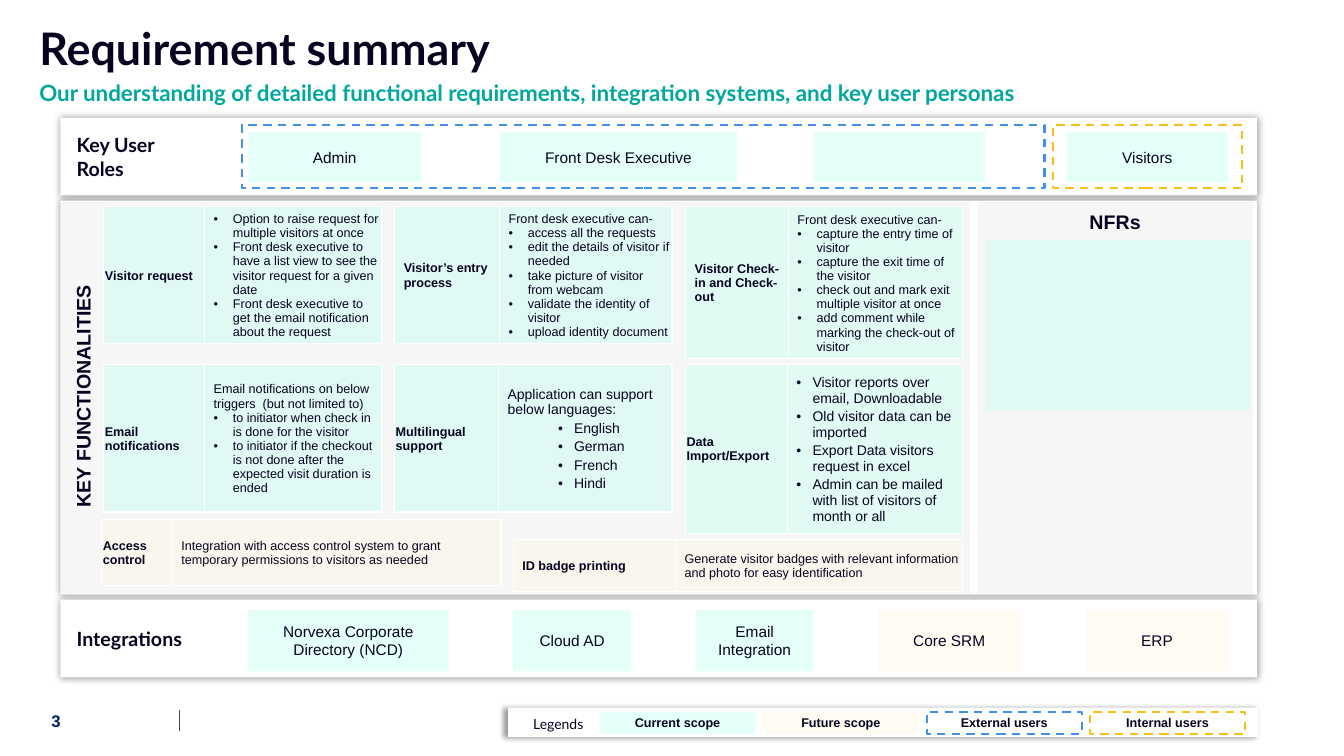
import dataclasses

import pptx
import pptx.dml.color
import pptx.enum.dml
import pptx.enum.shapes
import pptx.enum.text
import pptx.oxml
import pptx.oxml.ns
import pptx.util

UNIT = pptx.util.Inches(0.1)
COLORS = {"ink": "060320", "heading": "06041F", "teal": "00A79D", "navy": "002060",
          "white": "FFFFFF", "grey": "F2F2F2", "current": "C5FFF2", "future": "FEF7E3",
          "mint": "E1FAF4", "external": "4190E9", "internal": "F9C018", "divider": "3F4956"}
SHEER = 43
LEFT = pptx.enum.text.PP_ALIGN.LEFT
CENTER = pptx.enum.text.PP_ALIGN.CENTER
MIDDLE = pptx.enum.text.MSO_ANCHOR.MIDDLE
TOP = pptx.enum.text.MSO_ANCHOR.TOP
CARD_LEFT, CARD_STEP, CARD_WIDTH = 4.3, 28.85, 27.5
UPPER_ROW, LOWER_ROW = 0.6, 16.3
LEGEND_LEFT, LEGEND_STEP = 9.1, 16.2


@dataclasses.dataclass
class Box:
    left: float
    top: float
    width: float
    height: float

    def inner(self, left, top, width, height):
        return Box(self.left + left, self.top + top, width, height)

    def place(self):
        return [round(length * UNIT) for length in (self.left, self.top, self.width, self.height)]


@dataclasses.dataclass
class Card:
    title: str
    widths: tuple
    height: float
    intro: str = ""
    bullets: tuple = ()
    color: str = "current"
    opacity: int = SHEER
    size: int = 9
    label_indent: float = 0
    bullet_indent: tuple = (0.19, 0.19)


def rgb(name):
    return pptx.dml.color.RGBColor.from_string(COLORS[name])


def add_xml(parent, markup, index=None):
    element = pptx.oxml.parse_xml(markup.replace(">", " " + pptx.oxml.ns.nsdecls("a") + ">", 1))
    parent.insert(len(parent) if index is None else index, element)


def paint(fill, element, color, opacity):
    fill.solid()
    fill.fore_color.rgb = rgb(color)
    if opacity < 100:
        color_element = next(element.iter(pptx.oxml.ns.qn("a:srgbClr")))
        add_xml(color_element, f'<a:alpha val="{opacity * 1000}"></a:alpha>')


def style(frame, size, font="Arial", color="ink", bold=False, align=LEFT, anchor=MIDDLE,
          insets=(0.04, 0.04, 0.04, 0.04)):
    frame.word_wrap = True
    frame.auto_size = pptx.enum.text.MSO_AUTO_SIZE.NONE
    frame.vertical_anchor = anchor
    frame.margin_left, frame.margin_top, frame.margin_right, frame.margin_bottom = map(
        pptx.util.Inches, insets)
    for paragraph in frame.paragraphs:
        paragraph.alignment = align
        style_runs(paragraph, size, font, color, bold)


def style_runs(paragraph, size, font="Arial", color="ink", bold=False):
    for run in paragraph.runs:
        run.font.size, run.font.name, run.font.bold = pptx.util.Pt(size), font, bold
        run.font.color.rgb = rgb(color)


def indent(paragraph, margin, hanging=0):
    properties = paragraph._p.get_or_add_pPr()
    properties.set("marL", str(pptx.util.Inches(margin)))
    properties.set("indent", str(-pptx.util.Inches(hanging)))
    if hanging:
        add_xml(properties, '<a:buFont typeface="Arial"></a:buFont>')
        add_xml(properties, '<a:buChar char="•"></a:buChar>')
    else:
        add_xml(properties, "<a:buNone></a:buNone>")


def add_panel(slide, box, fill=None, opacity=100, outline=None, text="", shadow=None, **text_style):
    shape = slide.shapes.add_shape(pptx.enum.shapes.MSO_SHAPE.RECTANGLE, *box.place())
    shape.shadow.inherit = False
    if fill:
        paint(shape.fill, shape._element.spPr, fill, opacity)
    else:
        shape.fill.background()
    if outline:
        shape.line.color.rgb = rgb(outline)
        shape.line.width = pptx.util.Pt(1.5)
        shape.line.dash_style = pptx.enum.dml.MSO_LINE.DASH
    else:
        shape.line.fill.background()
    if shadow:
        blur, distance, angle = shadow
        effects = shape._element.spPr.find(pptx.oxml.ns.qn("a:effectLst"))
        add_xml(effects, f'<a:outerShdw blurRad="{pptx.util.Pt(blur)}" dist="{pptx.util.Pt(distance)}" '
                f'dir="{angle * 60000}" algn="ctr" rotWithShape="0"><a:srgbClr val="000000">'
                '<a:alpha val="40000"/></a:srgbClr></a:outerShdw>')
    if text:
        shape.text_frame.text = text
        style(shape.text_frame, **({"size": 11, "align": CENTER} | text_style))


def add_label(slide, box, text, size, rotation=0, **text_style):
    label = slide.shapes.add_textbox(*box.place())
    label.rotation = rotation
    label.text_frame.text = text
    style(label.text_frame, size, insets=(0.1, 0.05, 0.1, 0.05), **text_style)


def add_band(slide, box, text=""):
    add_panel(slide, box, "white", text=text, shadow=(5, 0, 0), size=14, font="Lato", bold=True,
              align=LEFT, insets=(0.16, 0.04, 0.04, 0.04))


def add_heading(slide, box):
    title, body = slide.shapes.title, slide.placeholders[1]
    for holder, text, area, size, color, margin in (
            (body, "Requirement summary", box.inner(0, 0, box.width, 6.2), 32, "heading", 0),
            (title, "Our understanding of detailed functional requirements, integration systems, "
             "and key user personas", box.inner(0, 5.5, box.width, 3.7), 16, "teal", 0.05)):
        holder.left, holder.top, holder.width, holder.height = area.place()
        holder.text_frame.text = text
        style(holder.text_frame, size, "Lato", color, True, insets=(0.1, margin, 0.1, margin))
        paragraph = holder.text_frame.paragraphs[0]
        paragraph.line_spacing = 0.9
        paragraph.space_before = pptx.util.Pt(10)
        indent(paragraph, 0)


def add_roles(slide, box):
    add_band(slide, box, "Key User\nRoles")
    for text, left, width in (("Admin", 18.6, 17.2), ("Front Desk Executive", 43.6, 23.5),
                              ("", 74.7, 17), ("Visitors", 99.8, 16)):
        add_panel(slide, box.inner(left, 1.4, width, 5), "current", SHEER, text=text)
    for color, left, width in (("external", 18, 79.6), ("internal", 98.4, 18.8)):
        add_panel(slide, box.inner(left, 0.7, width, 6.3), outline=color)


def add_card(slide, box, card):
    table = slide.shapes.add_table(1, 2, *box.place()).table
    table.first_row = table.horz_banding = False
    table.rows[0].height = round(box.height * UNIT)
    for column, width in zip(table.columns, card.widths):
        column.width = round(width * UNIT)
    label, details = table.rows[0].cells
    label.text = card.title
    details.text = "\n".join(([card.intro] if card.intro else []) + list(card.bullets))
    for cell, margin in ((label, 0.01), (details, 0.09)):
        cell.vertical_anchor = MIDDLE
        cell.margin_left = pptx.util.Inches(margin)
        cell.margin_top = cell.margin_right = pptx.util.Inches(0.01)
        cell.margin_bottom = 0
        properties = cell._tc.get_or_add_tcPr()
        paint(cell.fill, properties, card.color, card.opacity)
        for index, side in enumerate("LRTB"):
            add_xml(properties, f'<a:ln{side} w="12700"><a:solidFill><a:srgbClr val="{COLORS["white"]}"/>'
                    f"</a:solidFill></a:ln{side}>", index)
    heading = label.text_frame.paragraphs[0]
    style_runs(heading, 9, bold=True)
    indent(heading, card.label_indent)
    for index, paragraph in enumerate(details.text_frame.paragraphs):
        style_runs(paragraph, card.size)
        paragraph.space_after = pptx.util.Pt(2 if card.size > 9 else 0)
        if index or not card.intro:
            indent(paragraph, *card.bullet_indent)


def add_functionalities(slide, box, card_rows, wide_cards):
    add_band(slide, box)
    for left, width in ((0, 90.2), (91, 27.3)):
        add_panel(slide, box.inner(left, 0.1, width, 38.9), "grey", 68)
    add_label(slide, box.inner(-10.7, 17.7, 25.8, 3.4), "KEY FUNCTIONALITIES", 14, 270,
              bold=True, align=CENTER)
    add_label(slide, box.inner(91.7, 0.4, 25.8, 3.4), "NFRs", 14, bold=True, align=CENTER)
    add_panel(slide, box.inner(91.7, 3.9, 26.3, 17), "current", SHEER)
    for top, cards in zip((UPPER_ROW, LOWER_ROW), card_rows):
        for column, card in enumerate(cards):
            area = box.inner(CARD_LEFT + column * CARD_STEP, top, CARD_WIDTH, card.height)
            add_card(slide, area, card)
    for (left, top), card in zip(((4.1, 31.6), (44.9, 33.6)), wide_cards):
        add_card(slide, box.inner(left, top, sum(card.widths), card.height), card)


def add_integrations(slide, box):
    add_band(slide, box, "Integrations")
    for text, left, width, color in (
            ("Norvexa Corporate Directory (NCD)", 18.6, 19.9, "current"),
            ("Cloud AD", 44.9, 11.7, "current"), ("Email Integration", 63, 11.7, "current"),
            ("Core SRM", 81.1, 14.1, "future"), ("ERP", 101.7, 14.1, "future")):
        add_panel(slide, box.inner(left, 1, width, 6.1), color, SHEER, text=text)


def add_footer(slide, box):
    add_label(slide, box.inner(0, 0, 5.3, 4), "3", 12, color="navy", bold=True, align=CENTER)
    left, top, _, height = box.inner(14.9, 0.9, 0, 2.1).place()
    divider = slide.shapes.add_connector(pptx.enum.shapes.MSO_CONNECTOR.STRAIGHT,
                                         left, top, left, top + height)
    divider.line.color.rgb = rgb("divider")
    divider.line.width = pptx.util.Pt(0.5)
    add_xml(divider._element.spPr, "<a:effectLst></a:effectLst>")


def add_legend(slide, box):
    add_panel(slide, box, "white", shadow=(4, 3, 180))
    add_label(slide, box.inner(1.5, 0.3, 7.6, 2.7), "Legends", 10, font="Lato", anchor=TOP)
    for index, (text, fill, outline) in enumerate((
            ("Current scope", "current", None), ("Future scope", "future", None),
            ("External users", None, "external"), ("Internal users", None, "internal"))):
        area = box.inner(LEGEND_LEFT + index * LEGEND_STEP, 0.4, 15.4, 2.2)
        add_panel(slide, area, fill, SHEER, outline, text, size=9, bold=True)


def main():
    presentation = pptx.Presentation()
    presentation.slide_width, presentation.slide_height = pptx.util.Inches(13.33), pptx.util.Inches(7.5)
    slide = presentation.slides.add_slide(presentation.slide_layouts[1])
    upper_cards = (
        Card("Visitor request", (10, 17.5), 13.6, bullets=(
            "Option to raise request for multiple visitors at once",
            "Front desk executive to have a list view to see the visitor request for a given date",
            "Front desk executive to get the email notification about the request")),
        Card("Visitor’s entry process", (10.4, 17.1), 13.6, "Front desk executive can-", (
            "access all the requests", "edit the details of visitor if needed",
            "take picture of visitor from webcam", "validate the identity of visitor",
            "upload identity document"), label_indent=0.08),
        Card("Visitor Check-in and Check-out", (10.2, 17.3), 15.1, "Front desk executive can-", (
            "capture the entry time of visitor", "capture the exit time of the visitor",
            "check out and mark exit multiple visitor at once",
            "add comment while marking the check-out of visitor"), "mint", 100, label_indent=0.08))
    lower_cards = (
        Card("Email notifications", (10, 17.5), 14.6,
             "Email notifications on below triggers  (but not limited to)", (
                 "to initiator when check in is done for the visitor",
                 "to initiator if the checkout is not done after the expected visit duration is ended")),
        Card("Multilingual support", (10.3, 17.2), 14.6, "Application can support below languages:",
             ("English", "German", "French", "Hindi"), size=10, bullet_indent=(0.66, 0.16)),
        Card("Data Import/Export", (10.1, 17.4), 16.7, "", (
            "Visitor reports over email, Downloadable", "Old visitor data can be imported",
            "Export Data visitors request in excel",
            "Admin can be mailed with list of visitors of month or all"),
            "mint", 100, 10, bullet_indent=(0.16, 0.16)))
    wide_cards = (
        Card("Access control", (7, 32.6), 6.6, "Integration with access control system to grant "
             "temporary permissions to visitors as needed", color="future"),
        Card("ID badge printing", (16.1, 28.5), 5.2, "Generate visitor badges with relevant "
             "information and photo for easy identification", color="future", label_indent=0.08))
    add_heading(slide, Box(2.9, 2, 127.6, 9.2))
    add_roles(slide, Box(6, 11.7, 118.7, 7.7))
    add_functionalities(slide, Box(6, 19.9, 118.7, 39.1), (upper_cards, lower_cards), wide_cards)
    add_integrations(slide, Box(6, 59.5, 118.7, 7.7))
    add_footer(slide, Box(2.9, 69.5, 121.8, 4))
    add_legend(slide, Box(50.4, 70.2, 74.4, 2.9))
    presentation.save("out.pptx")


if __name__ == "__main__":
    main()
